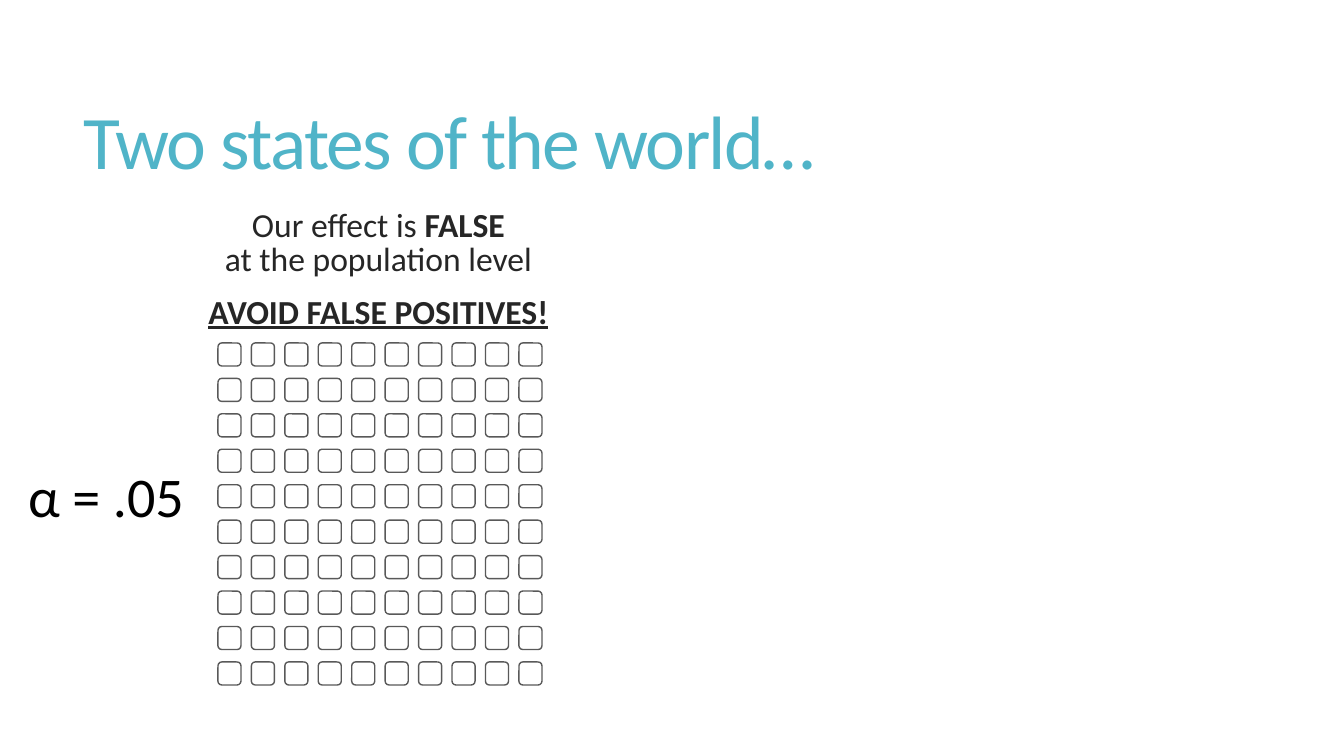
from copy import deepcopy
from dataclasses import dataclass
from itertools import product

from pptx import Presentation
from pptx.dml.color import RGBColor as RGB
from pptx.enum.shapes import MSO_SHAPE as Shape
from pptx.enum.text import MSO_ANCHOR as Anchor, MSO_AUTO_SIZE as Fit, PP_ALIGN as Align
from pptx.oxml.ns import qn
from pptx.util import Pt

# Content: paragraphs > lines > (text, format) runs
TITLE = [[[("Two states of the world…", {})]]]
CLAIM = [
    [[("Our effect is ", {}), ("FALSE", {"bold": True})],
     [("at the population level", {})]],
    [[("AVOID FALSE POSITIVES!", {"bold": True, "underline": True})]],
]
ALPHA = [[[("α = .05", {})]]]

# Places in px: left, top, width, height
SIZE = 1344, 756
TITLE_BOX = 73, 55, 1187, 183
CLAIM_BOX = 93, 205, 571, 480
ALPHA_BOX = -18, 467, 248, 57
GRID = 218, 343, 301, 319  # first cell's corner, then span to the last
COUNT, CELL = 10, 23


@dataclass(frozen=True)
class Theme:
    font: str = "Calibri"
    head: RGB = RGB(0x50, 0xB4, 0xC8)
    text: RGB = RGB(0x26, 0x26, 0x26)
    dark: RGB = RGB(0, 0, 0)
    edge: RGB = RGB(0x59, 0x59, 0x59)
    fill: RGB = RGB(255, 255, 255)
    big: int = 54
    mid: int = 40
    small: int = 24


theme = Theme()


def px(num):
    return round(num * 914400 / 100.8)


def put(item, values):
    for name, value in values.items():
        setattr(item, name, value)


def place(shape, box):
    put(shape, dict(zip(("left", "top", "width", "height"), map(px, box))))


def write(shape, paras, size, color, form, anchor):
    frame = shape.text_frame
    put(frame, {"word_wrap": True, "auto_size": Fit.NONE, "vertical_anchor": anchor})
    for num, lines in enumerate(paras):
        para = frame.add_paragraph() if num else frame.paragraphs[0]
        put(para, form)
        for row, runs in enumerate(lines):
            if row:
                # The break takes the size of the text before it
                para._p.add_br().append(deepcopy(para.runs[-1]._r.rPr))
            for text, style in runs:
                run = para.add_run()
                run.text = text
                put(run.font, {"name": theme.font, "size": Pt(size), **style})
                run.font.color.rgb = color


def plain(para):
    """Take bullet and indent off a body paragraph."""
    props = para._p.get_or_add_pPr()
    props.set("marL", "0")
    props.set("indent", "0")
    props.append(props.makeelement(qn("a:buNone"), {}))


def draw_grid(slide):
    left, top, wide, high = GRID
    group = slide.shapes.add_group_shape()
    for row, col in product(range(COUNT), repeat=2):
        x = left + col * wide / (COUNT - 1)
        y = top + row * high / (COUNT - 1)
        cell = group.shapes.add_shape(Shape.ROUNDED_RECTANGLE, *map(px, (x, y, CELL, CELL)))
        cell.shadow.inherit = False
        cell.fill.solid()
        cell.fill.fore_color.rgb = theme.fill
        cell.line.color.rgb = theme.edge
        cell.line.width = Pt(1)


def main():
    deck = Presentation()
    deck.slide_width, deck.slide_height = map(px, SIZE)
    slide = deck.slides.add_slide(deck.slide_layouts[1])

    title, body = slide.placeholders
    place(title, TITLE_BOX)
    write(title, TITLE, theme.big, theme.head,
          {"alignment": Align.LEFT, "line_spacing": 0.85}, Anchor.MIDDLE)
    for run in title.text_frame.paragraphs[0].runs:
        run.font._element.set("spc", "-120")

    place(body, CLAIM_BOX)
    write(body, CLAIM, theme.small, theme.text,
          {"alignment": Align.CENTER, "line_spacing": 0.85, "space_before": Pt(13)}, Anchor.TOP)
    for para in body.text_frame.paragraphs:
        plain(para)

    draw_grid(slide)

    alpha = slide.shapes.add_textbox(*map(px, ALPHA_BOX))
    write(alpha, ALPHA, theme.mid, theme.dark, {"alignment": Align.CENTER}, Anchor.MIDDLE)

    deck.save("out.pptx")


if __name__ == "__main__":
    main()
